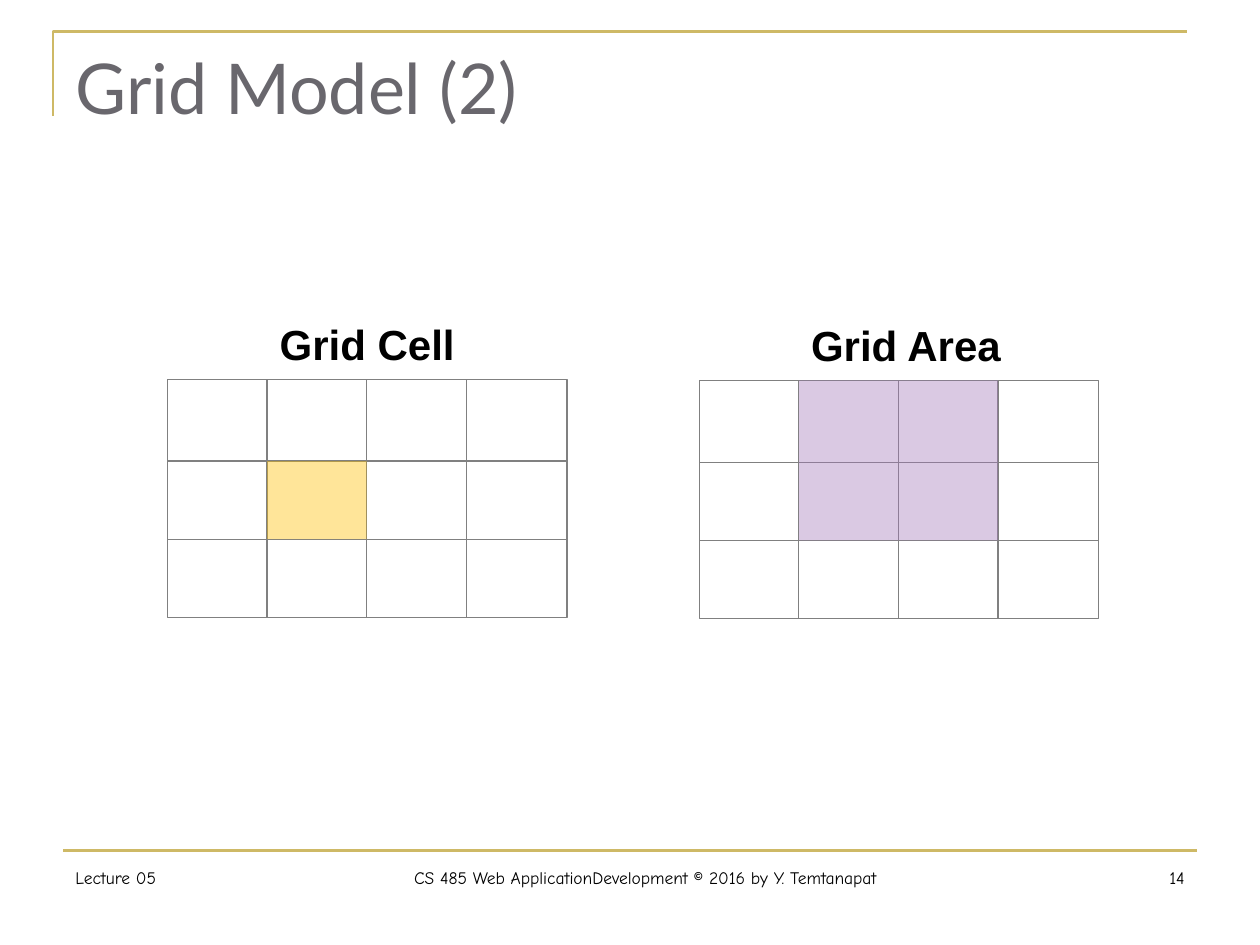
"""Build the Grid Model slide comparing a grid cell with a grid area."""
from pptx import Presentation
from pptx.dml.color import RGBColor
from pptx.enum.shapes import MSO_CONNECTOR, MSO_SHAPE
from pptx.enum.text import MSO_ANCHOR, MSO_AUTO_SIZE, PP_ALIGN
from pptx.oxml.ns import qn
from pptx.util import Inches, Pt
from lxml import etree

STRAIGHT = MSO_CONNECTOR.STRAIGHT
RECTANGLE = MSO_SHAPE.RECTANGLE
TOP = MSO_ANCHOR.TOP
NO_AUTOFIT = MSO_AUTO_SIZE.NONE
LEFT, CENTER, RIGHT = PP_ALIGN.LEFT, PP_ALIGN.CENTER, PP_ALIGN.RIGHT

COLORS = {"rule": "CEB966", "title": "69676D", "text": "000000",
          "grid": "808080", "cell": "FFC000", "area": "A379BB"}
COLUMNS = [0, 0.79, 1.58, 2.37, 3.17]
ROWS = [0, 0.65, 1.27, 1.89]


def rgb(name):
    return RGBColor.from_string(COLORS[name])


def style_line(line, color, width):
    line.color.rgb = rgb(color)
    line.width = Pt(width)


def write(box, text, font, size, color="text", align=LEFT, bold=False):
    frame = box.text_frame
    frame.word_wrap = True
    frame.auto_size = NO_AUTOFIT
    frame.vertical_anchor = TOP
    frame.text = text
    paragraph = frame.paragraphs[0]
    paragraph.alignment = align
    paragraph.font.name = font
    paragraph.font.size = Pt(size)
    paragraph.font.bold = bold
    paragraph.font.color.rgb = rgb(color)


def add_text(shapes, bounds, text, font, size, **style):
    box = shapes.add_textbox(*map(Inches, bounds))
    write(box, text, font, size, **style)


def add_rule(shapes, start, end, color, width):
    rule = shapes.add_connector(STRAIGHT, *map(Inches, start + end))
    style_line(rule.line, color, width)
    etree.SubElement(rule.line._get_or_add_ln().getparent(), qn("a:effectLst"))


def add_rectangle(shapes, bounds):
    rectangle = shapes.add_shape(RECTANGLE, *map(Inches, bounds))
    rectangle.shadow.inherit = False
    return rectangle


def add_highlight(shapes, bounds, color, opacity=40):
    highlight = add_rectangle(shapes, bounds)
    highlight.fill.solid()
    highlight.fill.fore_color.rgb = rgb(color)
    highlight.line.fill.background()
    tint = highlight.fill._xPr.find(qn("a:solidFill"))[0]
    etree.SubElement(tint, qn("a:alpha"), val=str(opacity * 1000))


def add_grid(slide, left, top, label, label_width, color, columns, rows):
    """Draw a labelled grid with the tracks between two grid lines tinted."""
    shapes = slide.shapes.add_group_shape().shapes
    width, height = COLUMNS[-1], ROWS[-1]
    for y in ROWS[1:-1]:
        add_rule(shapes, (left, top + y), (left + width, top + y), "grid", 0.75)
    for x in COLUMNS[1:-1]:
        add_rule(shapes, (left + x, top + height), (left + x, top), "grid", 0.75)
    border = add_rectangle(shapes, (left, top, width, height))
    border.fill.background()
    style_line(border.line, "grid", 0.75)
    add_text(shapes, (left + 0.7, top - 0.53, label_width, 0.5), label,
             "Arial", 24, align=CENTER, bold=True)
    x, right = (COLUMNS[i] for i in columns)
    y, bottom = (ROWS[i] for i in rows)
    add_highlight(shapes, (left + x, top + y, right - x, bottom - y), color)


def add_title(slide, text):
    title = slide.shapes.title
    title.left, title.top, title.width, title.height = map(
        Inches, (0.5, 0.3, 9, 1.25))
    write(title, text, "Lato", 40, color="title")


def add_frame(slide):
    outline = slide.shapes.build_freeform(Inches(0.42), Inches(0.92))
    outline.add_line_segments(
        [(Inches(0.42), Inches(0.25)), (Inches(9.42), Inches(0.25))], close=False)
    bracket = outline.convert_to_shape()
    bracket.shadow.inherit = False
    bracket.fill.background()
    style_line(bracket.line, "rule", 1.5)
    add_rule(slide.shapes, (0.5, 6.75), (9.5, 6.75), "rule", 1.5)


def add_footer(slide):
    footer = [
        (0.5, 1.61, "Lecture 05", LEFT),
        (2.11, 6.02, "CS 485 Web ApplicationDevelopment © 2016 by Y. Temtanapat", CENTER),
        (8.12, 1.38, "14", RIGHT),
    ]
    for left, width, text, align in footer:
        add_text(slide.shapes, (left, 6.83, width, 0.5), text,
                 "Comic Neue", 10, align=align)


def main():
    deck = Presentation()
    deck.slide_width, deck.slide_height = Inches(10), Inches(7.5)
    slide = deck.slides.add_slide(deck.slide_layouts[5])
    add_frame(slide)
    add_title(slide, "Grid Model (2)")
    add_footer(slide)
    add_grid(slide, 5.55, 3.02, "Grid Area", 1.88, "area", (1, 3), (0, 2))
    add_grid(slide, 1.33, 3.01, "Grid Cell", 1.77, "cell", (1, 2), (1, 2))
    deck.save("out.pptx")


if __name__ == "__main__":
    main()
